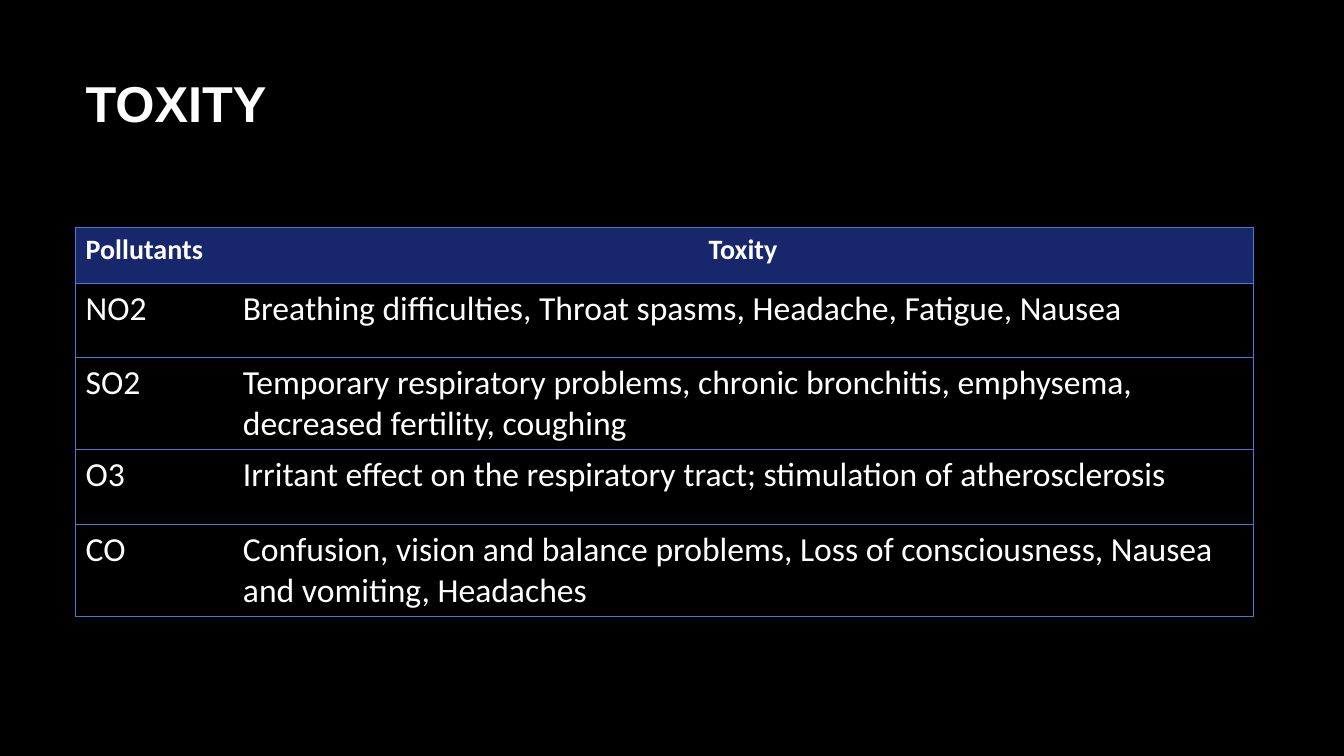
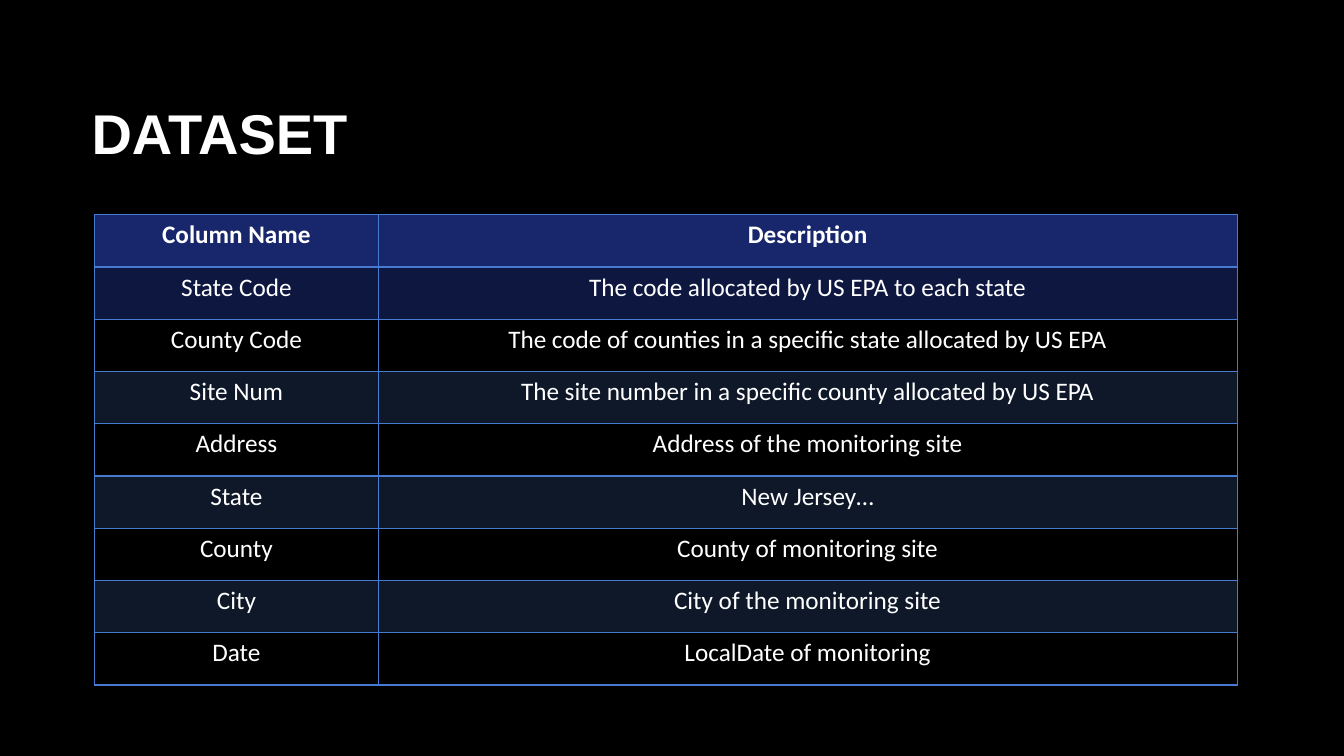
from dataclasses import dataclass

from lxml.etree import SubElement
from pptx import Presentation
from pptx.dml.color import RGBColor as RGB
from pptx.enum.text import PP_ALIGN as AL
from pptx.oxml import parse_xml
from pptx.oxml.ns import nsdecls, qn
from pptx.util import Inches, Pt


@dataclass(frozen=True)
class Theme:
    ground: str = "000000"
    text: str = "FFFFFF"
    navy: str = "18276C"
    blue: str = "477BD1"
    title_font: str = "Arial"
    body_font: str = "Calibri"
    title_small: int = 36
    title_large: int = 40
    cell_small: int = 18
    cell_medium: int = 20
    cell_large: int = 24


T = Theme()
PLAIN_STYLE = "{2D5ABB26-0587-4C30-8999-92F81FD0307C}"  # no style, no grid

TOXICITY = [
    ("Pollutants", "Toxity"),
    ("NO2", "Breathing difficulties, Throat spasms, Headache, Fatigue, Nausea"),
    ("SO2", "Temporary respiratory problems, chronic bronchitis, emphysema, "
            "decreased fertility, coughing"),
    ("O3", "Irritant effect on the respiratory tract; stimulation of atherosclerosis"),
    ("CO", "Confusion, vision and balance problems, Loss of consciousness, "
           "Nausea and vomiting, Headaches"),
]

COLUMNS = [
    ("Column Name", "Description"),
    ("State Code", "The code allocated by US EPA to each state"),
    ("County Code", "The code of counties in a specific state allocated by US EPA"),
    ("Site Num", "The site number in a specific county allocated by US EPA"),
    ("Address", "Address of the monitoring site"),
    ("State", "New Jersey…"),
    ("County", "County of monitoring site"),
    ("City", "City of the monitoring site"),
    ("Date", "LocalDate of monitoring"),
]


def style(p, font, size, bold=False, align=AL.LEFT):
    p.alignment = align
    p.font.name = font
    p.font.size = Pt(size)
    p.font.bold = bold
    p.font.color.rgb = RGB.from_string(T.text)


def add_slide(prs):
    s = prs.slides.add_slide(prs.slide_layouts[6])
    s.background.fill.solid()
    s.background.fill.fore_color.rgb = RGB.from_string(T.ground)
    return s


def add_title(s, text, left, top, size):
    sp = s.shapes.add_textbox(Inches(left), Inches(top), Inches(11.08), Inches(1.59))
    tf = sp.text_frame
    tf.word_wrap = True
    p = tf.paragraphs[0]
    p.text = text
    style(p, T.title_font, size, bold=True)


def fill_cell(cell, paint):
    """Paint is None or a pair: colour and opacity in percent."""
    if paint is None:
        cell.fill.background()
        return
    colour, opacity = paint
    cell.fill.solid()
    cell.fill.fore_color.rgb = RGB.from_string(colour)
    if opacity < 100:
        clr = cell._tc.tcPr.find(".//" + qn("a:srgbClr"))
        SubElement(clr, qn("a:alpha"), val=str(opacity * 1000))


def set_borders(cell, widths):
    """Widths in points, in the order left, right, top, bottom; 0 is no line."""
    for i, (side, width) in enumerate(zip("LRTB", widths)):
        paint = (f'<a:solidFill><a:srgbClr val="{T.blue}"/></a:solidFill>'
                 if width else "<a:noFill/>")
        cell._tc.tcPr.insert(i, parse_xml(
            f'<a:ln{side} {nsdecls("a")} w="{Pt(width)}">{paint}</a:ln{side}>'))


def add_table(s, data, left, top, cols, heights, sizes, aligns, paints,
              rule, header_rule, divider):
    """Sizes and aligns are pairs: header, body. Paints holds one fill a row."""
    frame = s.shapes.add_table(len(data), len(cols), Inches(left), Inches(top),
                               Inches(sum(cols)), Inches(sum(heights)))
    tbl = frame.table
    tbl.first_row = tbl.horz_banding = False
    tbl._tbl.tblPr.find(qn("a:tableStyleId")).text = PLAIN_STYLE
    for col, width in zip(tbl.columns, cols):
        col.width = Inches(width)
    last = len(cols) - 1
    for r, values in enumerate(data):
        tbl.rows[r].height = Inches(heights[r])
        body = int(r > 0)
        for c, value in enumerate(values):
            cell = tbl.cell(r, c)
            p = cell.text_frame.paragraphs[0]
            p.text = value
            style(p, T.body_font, sizes[body], not body, aligns[body][c])
            fill_cell(cell, paints[r])
            set_borders(cell, (divider if c else rule,
                               divider if c < last else rule,
                               header_rule if r == 1 else rule,
                               rule if body else header_rule))


def toxicity_slide(prs):
    s = add_slide(prs)
    add_table(s, TOXICITY, 0.75, 2.26, cols=(1.56, 10.12),
              heights=(0.55, 0.74, 0.9, 0.74, 0.9),
              sizes=(T.cell_medium, T.cell_large),
              aligns=((AL.LEFT, AL.CENTER), (AL.LEFT, AL.LEFT)),
              paints=[(T.navy, 100)] + [None] * 4,
              rule=0.75, header_rule=0.75, divider=0)
    add_title(s, "TOXITY", 0.75, 0.67, T.title_small)


def dataset_slide(prs):
    s = add_slide(prs)
    n = len(COLUMNS)
    # Odd rows are banded; the first band is navy
    bands = [(T.blue, 20) if r % 2 else None for r in range(2, n)]
    add_table(s, COLUMNS, 0.94, 2.13, cols=(2.81, 8.52), heights=[4.67 / n] * n,
              sizes=(T.cell_small, T.cell_small),
              aligns=((AL.CENTER, AL.CENTER),) * 2,
              paints=[(T.navy, 100), (T.navy, 60)] + bands,
              rule=1, header_rule=2, divider=1)
    add_title(s, "DATASET", 0.81, 0.93, T.title_large)


def main():
    prs = Presentation()
    prs.slide_width, prs.slide_height = Inches(13.33), Inches(7.5)
    toxicity_slide(prs)
    dataset_slide(prs)
    prs.save("out.pptx")


if __name__ == "__main__":
    main()
